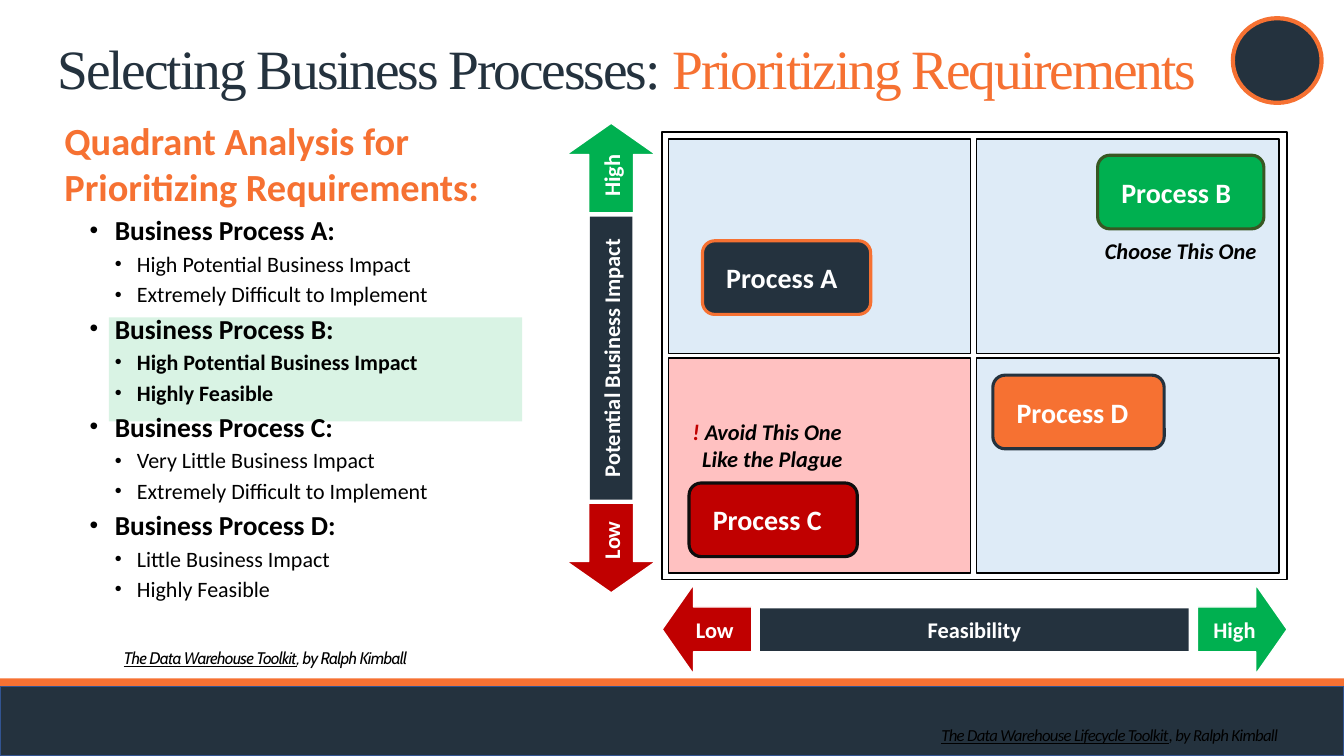
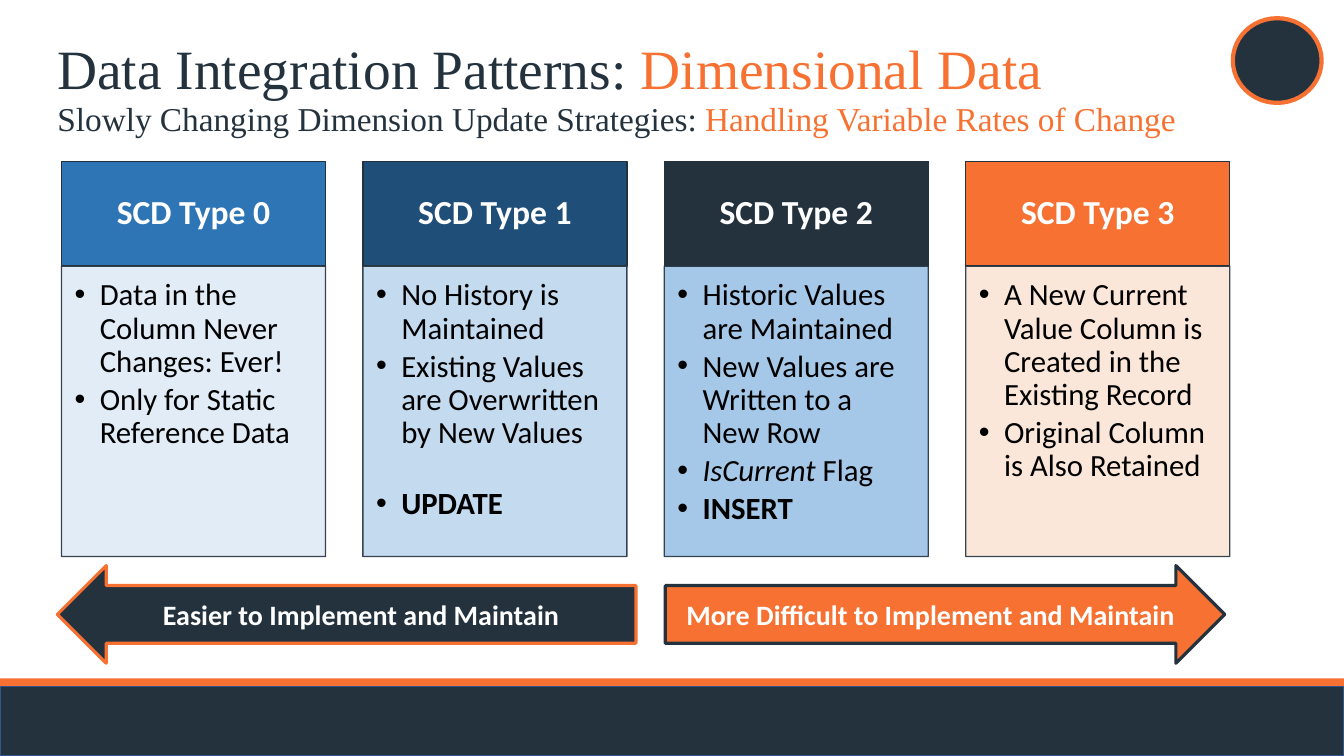
from lxml.etree import SubElement
from pptx import Presentation
from pptx.dml.color import RGBColor
from pptx.enum.shapes import MSO_SHAPE as Shape
from pptx.enum.text import MSO_ANCHOR as Anchor, MSO_AUTO_SIZE as AutoSize, PP_ALIGN as Align
from pptx.oxml.ns import qn
from pptx.util import Pt

COLORS = {
    "navy": "24323E", "orange": "F67132", "edge": "325491", "white": "FFFFFF",
    "black": "000000", "ink": "0D0D0D", "green": "00B050", "forest": "385723",
    "red": "C00000", "pink": "FFC1C1", "ice": "DEEBF7", "sky": "BDD7EE",
    "azure": "9DC3E6", "blue": "2E75B6", "deep": "1F4E79", "peach": "FBE5D6",
}
TITLE_FONT = "Times New Roman"
BODY_FONT = "Calibri"


def rgb(color):
    return RGBColor.from_string(COLORS[color])


def write(frame, text, size=16, font=BODY_FONT, color="black", bold=False, italic=False,
          underline=False, tracking=0, align=Align.LEFT, leading=1.0, before=0, after=0,
          level=0, margin=0, hanging=0, bullet_size=None):
    paragraph = frame.paragraphs[-1]
    if paragraph.runs:
        paragraph = frame.add_paragraph()
    paragraph.level = level
    paragraph.alignment = align
    paragraph.line_spacing = leading
    paragraph.space_before = Pt(before)
    paragraph.space_after = Pt(after)
    properties = paragraph._p.get_or_add_pPr()
    properties.set("marL", str(Pt(margin)))
    properties.set("indent", str(Pt(-hanging)))
    if bullet_size:
        SubElement(properties, qn("a:buSzPct")).set("val", str(bullet_size * 1000))
        SubElement(properties, qn("a:buFont")).set("typeface", "Arial")
        SubElement(properties, qn("a:buChar")).set("char", "•")
    else:
        SubElement(properties, qn("a:buNone"))
    base = dict(color=color, bold=bold, italic=italic, underline=underline)
    for words, changes in [(text, {})] if isinstance(text, str) else text:
        style = {**base, **changes}
        run = paragraph.add_run()
        run.text = words
        run.font.size = Pt(size)
        run.font.name = font
        run.font.color.rgb = rgb(style["color"])
        run.font.bold = style["bold"]
        run.font.italic = style["italic"]
        run.font.underline = style["underline"]
        if tracking:
            run._r.get_or_add_rPr().set("spc", str(int(tracking * 100)))


def set_frame(frame, insets=(0, 0, 0, 0), anchor=Anchor.MIDDLE):
    frame.word_wrap = True
    frame.auto_size = AutoSize.NONE
    frame.vertical_anchor = anchor
    (frame.margin_left, frame.margin_top,
     frame.margin_right, frame.margin_bottom) = map(Pt, insets)
    return frame


def add_block(slide, kind, box, fill=None, line=None, width=1, opacity=None,
              rotation=0, adjustments=()):
    block = slide.shapes.add_shape(kind, *map(Pt, box))
    block.shadow.inherit = False
    block.rotation = rotation
    for index, value in enumerate(adjustments):
        block.adjustments[index] = value
    if fill:
        block.fill.solid()
        block.fill.fore_color.rgb = rgb(fill)
    else:
        block.fill.background()
    if line:
        block.line.color.rgb = rgb(line)
        block.line.width = Pt(width)
    else:
        block.line.fill.background()
    if opacity:
        for tint in block.element.spPr.iter(qn("a:srgbClr")):
            SubElement(tint, qn("a:alpha")).set("val", str(opacity * 1000))
    return block


def add_note(slide, box):
    note = slide.shapes.add_textbox(*map(Pt, box))
    return set_frame(note.text_frame, anchor=Anchor.TOP)


def place(placeholder, box, insets=(7.2, 3.6, 7.2, 3.6), anchor=Anchor.TOP):
    placeholder.left, placeholder.top, placeholder.width, placeholder.height = map(Pt, box)
    return set_frame(placeholder.text_frame, insets, anchor)


def add_title(slide, topic, focus, width, tracking=0):
    frame = place(slide.shapes.title, (33.8, 28.8, width, 44.6), anchor=Anchor.MIDDLE)
    write(frame, [(topic, {}), (focus, {"color": "orange"})], size=39.6, font=TITLE_FONT,
          color="navy", tracking=tracking, leading=0.9)


def add_master_parts(master, slide):
    parts = [
        add_block(slide, Shape.RECTANGLE, (0, 484.6, 960, 20), "orange"),
        add_block(slide, Shape.RECTANGLE, (0, 490.3, 960, 49.7), "navy", "edge"),
        add_block(slide, Shape.OVAL, (880.6, 13, 63.4, 60.5), "navy", "orange", 3),
    ]
    for index, part in enumerate(parts):
        part.element.nvSpPr.cNvPr.set("id", str(20 + index))
        master.shapes.element.insert(2 + index, part.element)


def add_axis_part(slide, kind, label, box, fill, rotation=0):
    is_arrow = kind != Shape.RECTANGLE
    part = add_block(slide, kind, box, fill, "white" if is_arrow else None,
                     rotation=rotation, adjustments=(0.5, 0.35) if is_arrow else ())
    write(set_frame(part.text_frame), label, color="white", bold=True, align=Align.CENTER)


def add_axes(slide):
    arrow = 64
    for kind, label, left, top, fill, rotation in [
        (Shape.LEFT_ARROW, "Low", 473, 417.6, "red", 0),
        (Shape.RIGHT_ARROW, "High", 855.4, 417.6, "green", 0),
        (Shape.LEFT_ARROW, "Low", 404.6, 359.4, "red", 270),
        (Shape.RIGHT_ARROW, "High", 404.6, 88, "green", 270),
    ]:
        add_axis_part(slide, kind, label, (left, top, arrow, arrow), fill, rotation)
    add_axis_part(slide, Shape.RECTANGLE, "Feasibility", (543, 434.6, 306, 30.4), "navy")
    add_axis_part(slide, Shape.RECTANGLE, "Potential Business Impact",
                  (335.4, 240.6, 202.3, 30.4), "navy", 270)


def add_quadrants(slide):
    add_block(slide, Shape.RECTANGLE, (473, 94.3, 446.4, 319.7), line="black")
    for index, fill in enumerate(["ice", "ice", "pink", "ice"]):
        row, column = divmod(index, 2)
        box = (477.4 + column * 220.3, 99.2 + row * 156.6, 216, 153.4)
        add_block(slide, Shape.RECTANGLE, box, fill, "black")
    for label, left, top, width, fill, line in [
        ("Process A", 501.8, 172, 120.2, "navy", "orange"),
        ("Process B", 784, 110.9, 118.8, "green", "forest"),
        ("Process D", 709.2, 268, 122.4, "orange", "navy"),
        ("Process C", 492.2, 345, 120.2, "red", "ink"),
    ]:
        process = add_block(slide, Shape.ROUNDED_RECTANGLE, (left, top, width, 52.6),
                            fill, line, 2.25)
        write(set_frame(process.text_frame, (14.4, 11.5, 14.4, 11.5)), label,
              size=20, color="white", bold=True)
    warning = add_note(slide, (494.6, 298.4, 114.5, 38.8))
    write(warning, [("! ", {"color": "red"}), ("Avoid This One", {})], bold=True, italic=True)
    write(warning, "Like the Plague", bold=True, italic=True, margin=7)
    write(add_note(slide, (784, 169.4, 118.8, 19.4)), "Choose This One", bold=True,
          italic=True, align=Align.CENTER)


def add_process_list(slide):
    highlight = add_block(slide, Shape.RECTANGLE, (77.8, 226.8, 295.2, 74.2), "green",
                          opacity=15)
    slide.shapes.element.insert(2, highlight.element)
    frame = place(slide.placeholders[1], (46, 83.6, 362, 363), (0, 0, 0, 0))
    write(frame, "Quadrant Analysis for Prioritizing Requirements:", size=27.4,
          color="orange", bold=True, before=3)
    for name, traits in [
        ("A", ["High Potential Business Impact", "Extremely Difficult to Implement"]),
        ("B", ["High Potential Business Impact", "Highly Feasible"]),
        ("C", ["Very Little Business Impact", "Extremely Difficult to Implement"]),
        ("D", ["Little Business Impact", "Highly Feasible"]),
    ]:
        write(frame, f"Business Process {name}:", size=19.6, bold=True, before=3, level=1,
              margin=36, hanging=18, bullet_size=90)
        for trait in traits:
            write(frame, trait, size=15.7, bold=name == "B", before=3, level=2,
                  margin=51.8, hanging=15.8, bullet_size=90)


def add_credit(slide, book, box, font):
    write(add_note(slide, box), [(book, {"underline": True}), (", by Ralph Kimball", {})],
          size=12, font=font, italic=True, tracking=-0.5, align=Align.RIGHT)


def add_strategy(slide, index, header_fill, list_fill, points):
    left, width = 43.9 + index * 215.3, 188.6
    header = add_block(slide, Shape.RECTANGLE, (left, 115.2, width, 74.9), header_fill, "navy")
    write(set_frame(header.text_frame), f"SCD Type {index}", size=24, color="white",
          bold=True, align=Align.CENTER, leading=0.9)
    card = add_block(slide, Shape.RECTANGLE, (left, 190.1, width, 207.4), list_fill, "navy",
                     opacity=90)
    frame = set_frame(card.text_frame, (9.4, 9.4, 12.2, 13.7), Anchor.TOP)
    for text, changes in points:
        style = {"after": 3.3, **changes}
        write(frame, text, size=22, leading=0.9, margin=18, hanging=18, bullet_size=100, **style)


def add_effort_arrow(slide, kind, label, left, width, fill, line):
    arrow = add_block(slide, kind, (left, 404, width, 69.8), fill, line, 2.25,
                      adjustments=(0.59, 0.5))
    write(set_frame(arrow.text_frame, (7.2, 3.6, 7.2, 3.6)), label, size=20, color="white",
          bold=True, align=Align.CENTER)


def build_priorities(slide):
    add_title(slide, "Selecting Business Processes: ", "Prioritizing Requirements", 839.5, -1.5)
    add_process_list(slide)
    add_axes(slide)
    add_quadrants(slide)
    add_credit(slide, "The Data Warehouse Lifecycle Toolkit", (623.5, 517.7, 289.4, 14.4),
               BODY_FONT)
    add_credit(slide, "The Data Warehouse Toolkit", (28, 463, 262.8, 14.4), "Cabin")


def build_patterns(slide):
    add_title(slide, "Data Integration Patterns: ", "Dimensional Data", 808.6)
    subtitle = place(slide.placeholders[1], (33.8, 74.2, 841, 28.8))
    write(subtitle, [("Slowly Changing Dimension Update Strategies: ", {}),
                     ("Handling Variable Rates of Change", {"color": "orange"})],
          size=23.8, font=TITLE_FONT, color="navy", leading=0.7, before=10)
    strategies = [
        ("blue", "ice", [("Data in the Column Never Changes: Ever!", {}),
                         ("Only for Static Reference Data", {})]),
        ("deep", "sky", [("No History is Maintained", {}),
                         ("Existing Values are Overwritten by New Values", {"after": 27}),
                         ("UPDATE", {"bold": True})]),
        ("navy", "azure", [("Historic Values are Maintained", {}),
                           ("New Values are Written to a New Row", {}),
                           ([("IsCurrent", {"italic": True}), (" Flag", {})], {}),
                           ("INSERT", {"bold": True})]),
        ("orange", "peach", [("A New Current Value Column is Created in the Existing Record", {}),
                             ("Original Column is Also Retained", {})]),
    ]
    for index, strategy in enumerate(strategies):
        add_strategy(slide, index, *strategy)
    add_effort_arrow(slide, Shape.RIGHT_ARROW, "More Difficult to Implement and Maintain",
                     475.2, 399.6, "orange", "navy")
    add_effort_arrow(slide, Shape.LEFT_ARROW, "Easier to Implement and Maintain",
                     41, 413.3, "navy", "orange")


def main():
    deck = Presentation()
    deck.slide_width, deck.slide_height = Pt(960), Pt(540)
    layout = deck.slide_layouts[1]
    priorities = deck.slides.add_slide(layout)
    add_master_parts(deck.slide_master, priorities)
    build_priorities(priorities)
    build_patterns(deck.slides.add_slide(layout))
    deck.save("out.pptx")


if __name__ == "__main__":
    main()
